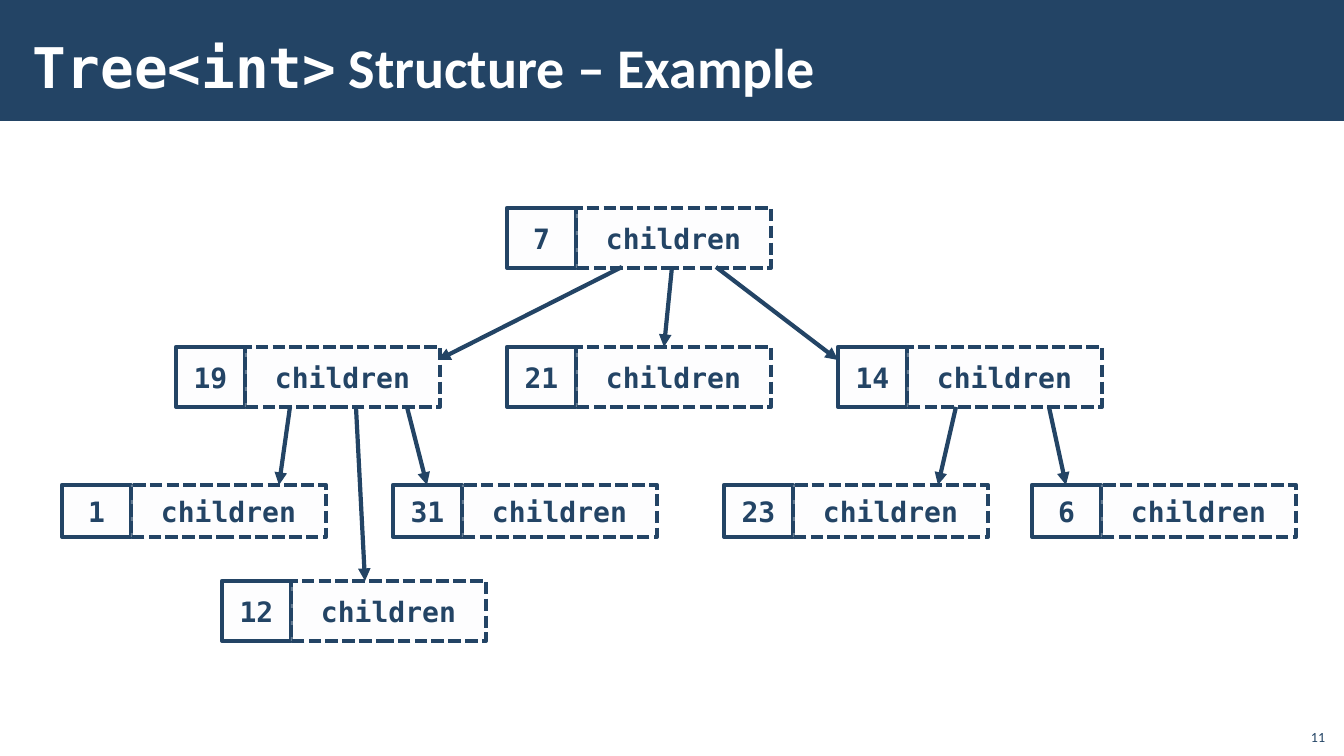
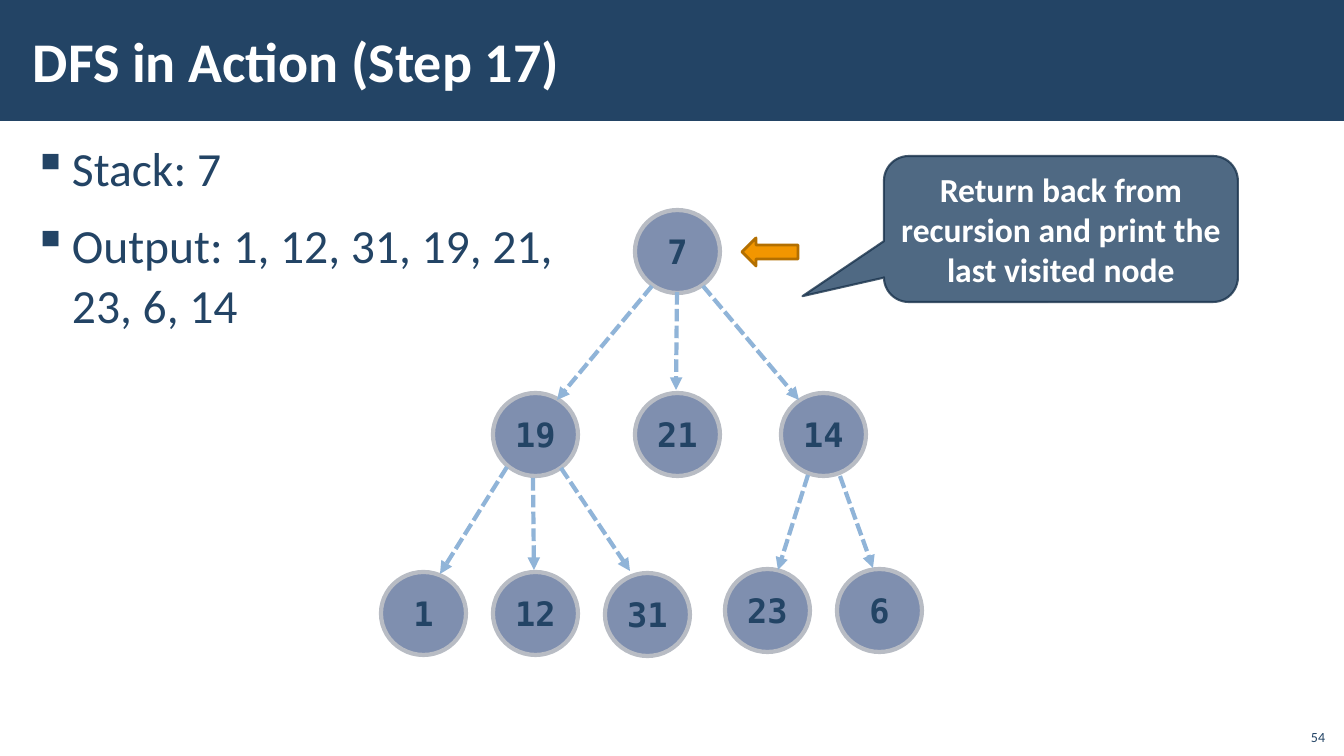
from lxml.etree import SubElement
from pptx import Presentation
from pptx.dml.color import RGBColor
from pptx.enum.dml import MSO_LINE
from pptx.enum.shapes import MSO_CONNECTOR, MSO_SHAPE
from pptx.enum.text import MSO_ANCHOR, MSO_AUTO_SIZE, PP_ALIGN
from pptx.oxml.ns import qn
from pptx.util import Emu, Pt

NAVY = RGBColor(0x23, 0x44, 0x65)
WHITE = RGBColor(0xFF, 0xFF, 0xFF)
PALE = RGBColor(0xFB, 0xFB, 0xFC)
DEEP_BLUE = RGBColor(0x00, 0x20, 0x60)
GREY = RGBColor(0xB8, 0xBC, 0xC4)
SKY = RGBColor(0x90, 0xB4, 0xD8)
ORANGE = RGBColor(0xF2, 0x96, 0x00)
BROWN = RGBColor(0xB3, 0x6F, 0x00)
INK = RGBColor(0x1A, 0x33, 0x4C)
SANS = "Calibri"
MONO = "DejaVu Sans Mono"
PX = 914400 / 100.8


def add_run(para, text, size, font, color, bold=False):
    span = para.add_run()
    span.text = text
    span.font.size = Pt(size)
    span.font.name = font
    span.font.color.rgb = color
    span.font.bold = bold


def add_shape(page, kind, frame, fill, alpha=100, line=None, width=3, dash=None):
    shape = page.shapes.add_shape(kind, *[Emu(round(n * PX)) for n in frame])
    shape.shadow.inherit = False
    shape.fill.solid()
    shape.fill.fore_color.rgb = fill
    if alpha < 100:
        for color in shape.element.spPr.iter(qn("a:srgbClr")):
            SubElement(color, qn("a:alpha")).set("val", str(alpha * 1000))
    if line is None:
        shape.line.fill.background()
    else:
        shape.line.color.rgb = line
        shape.line.width = Pt(width)
        shape.line.dash_style = dash
    shape.text_frame.vertical_anchor = MSO_ANCHOR.MIDDLE
    shape.text_frame.paragraphs[0].alignment = PP_ALIGN.CENTER
    return shape


deck = Presentation()
deck.slide_width = Emu(round(1344 * PX))
deck.slide_height = Emu(round(756 * PX))
layout = deck.slide_layouts[5]

# Titles and page numbers
headings = [
    ([("Tree<int>", MONO), (" Structure – Example", SANS)], (21, 5, 1055, 122), "11"),
    ([("DFS in Action (Step 17)", SANS)], (21, 11, 1072, 98), "54"),
]
for spans, frame, number in headings:
    page = deck.slides.add_slide(layout)
    title = page.shapes.title
    title.left, title.top, title.width, title.height = [Emu(round(n * PX)) for n in frame]
    text = title.text_frame
    text.auto_size = MSO_AUTO_SIZE.NONE
    text.vertical_anchor = MSO_ANCHOR.MIDDLE
    text.margin_left = text.margin_right = Emu(round(12 * PX))
    text.margin_top = text.margin_bottom = Emu(round(4 * PX))
    text.paragraphs[0].alignment = PP_ALIGN.LEFT
    for words, font in spans:
        add_run(text.paragraphs[0], words, 40, font, WHITE, True)

    box = page.shapes.add_textbox(*[Emu(round(n * PX)) for n in (1295, 718, 40, 32)])
    box.text_frame.word_wrap = True
    box.text_frame.vertical_anchor = MSO_ANCHOR.BOTTOM
    box.text_frame.paragraphs[0].alignment = PP_ALIGN.RIGHT
    add_run(box.text_frame.paragraphs[0], number, 10, SANS, NAVY)

tree_page, search_page = deck.slides

# Title band, moved to the shared layout behind its placeholders
band = add_shape(tree_page, MSO_SHAPE.RECTANGLE, (0, 0, 1344, 121), NAVY)
band.element.nvSpPr.cNvPr.set("id", "20")
layout.shapes.element.insert(2, band.element)

# Tree nodes: a value cell followed by a dashed children cell
KEY_WIDTH, CHILDREN_WIDTH = 69, 195
tree_rows = [
    (208, 60, [("7", 507)]),
    (347, 60, [("19", 176), ("21", 507), ("14", 838)]),
    (485, 52, [("1", 62), ("31", 393), ("23", 724), ("6", 1032)]),
    (581, 60, [("12", 222)]),
]
for top, height, nodes in tree_rows:
    for value, left in nodes:
        cells = [
            (value, left, KEY_WIDTH, MSO_LINE.SOLID),
            ("children", left + KEY_WIDTH, CHILDREN_WIDTH, MSO_LINE.SQUARE_DOT),
        ]
        for words, cell_left, width, dash in cells:
            cell = add_shape(tree_page, MSO_SHAPE.RECTANGLE, (cell_left, top, width, height),
                             PALE, 30, NAVY, 3, dash)
            cell.text_frame.word_wrap = False
            add_run(cell.text_frame.paragraphs[0], words, 20, MONO, NAVY, True)

# Stack and output list
box = search_page.shapes.add_textbox(*[Emu(round(n * PX)) for n in (21, 132, 1302, 610)])
text = box.text_frame
text.word_wrap = True
text.margin_left = text.margin_right = Emu(round(12 * PX))
text.margin_top = text.margin_bottom = Emu(round(4 * PX))
items = [["Stack: 7"], ["Output: 1, 12, 31, 19, 21,", "23, 6, 14"]]
for index, lines in enumerate(items):
    para = text.add_paragraph() if index else text.paragraphs[0]
    indent = round(39 * PX)
    properties = para._p.get_or_add_pPr()
    properties.set("marL", str(indent))
    properties.set("indent", str(-indent))
    SubElement(properties, qn("a:buChar")).set("char", "▪")
    para.line_spacing = 1.05
    para.space_before = Pt(6 if index else 0)
    para.space_after = Pt(6)
    for row, words in enumerate(lines):
        if row:
            para.add_line_break()
        add_run(para, words, 34, SANS, NAVY)

# Search tree circles
circles = [
    ("7", 635, 210),
    ("19", 493, 393), ("21", 635, 393), ("14", 781, 393),
    ("1", 381, 572), ("12", 493, 572), ("31", 605, 573),
    ("23", 725, 569), ("6", 837, 569),
]
for value, left, top in circles:
    circle = add_shape(search_page, MSO_SHAPE.OVAL, (left, top, 85, 83), DEEP_BLUE, 50, GREY)
    circle.text_frame.word_wrap = False
    add_run(circle.text_frame.paragraphs[0], value, 24, MONO, NAVY, True)

# Arrows from parent to child on both pages
tree_links = [
    (622, 267, 438, 360), (672, 267, 664, 347), (716, 267, 838, 360),
    (290, 407, 279, 485), (356, 407, 365, 581), (407, 407, 427, 485),
    (956, 407, 938, 485), (1049, 407, 1066, 485),
]
search_links = [
    (652, 286, 557, 400), (677, 292, 676, 390), (703, 286, 799, 400),
    (507, 467, 440, 574), (533, 478, 534, 570), (561, 468, 630, 571),
    (808, 475, 778, 570), (840, 476, 873, 568),
]
for page, links, color, dash in [
    (tree_page, tree_links, NAVY, MSO_LINE.SOLID),
    (search_page, search_links, SKY, MSO_LINE.SQUARE_DOT),
]:
    for ends in links:
        arrow = page.shapes.add_connector(
            MSO_CONNECTOR.STRAIGHT, *[Emu(round(n * PX)) for n in ends])
        arrow.line.color.rgb = color
        arrow.line.width = Pt(3)
        arrow.line.dash_style = dash
        properties = arrow.element.spPr
        SubElement(properties.find(qn("a:ln")), qn("a:tailEnd")).set("type", "triangle")
        SubElement(properties, qn("a:effectLst"))

# Pointer and callout for the current node
add_shape(search_page, MSO_SHAPE.LEFT_ARROW, (742, 238, 56, 28), ORANGE, 100, BROWN, 2)
callout = add_shape(search_page, MSO_SHAPE.ROUNDED_RECTANGULAR_CALLOUT,
                    (884, 156, 354, 146), NAVY, 80, INK, 1.5)
for color in callout.element.spPr.find(qn("a:ln")).iter(qn("a:srgbClr")):
    SubElement(color, qn("a:alpha")).set("val", "80000")
for index, value in enumerate((-0.73, 0.46, 0.17)):
    callout.adjustments[index] = value
callout.text_frame.word_wrap = True
add_run(callout.text_frame.paragraphs[0],
        "Return back from recursion and print the last visited node", 24, SANS, WHITE, True)

deck.save("out.pptx")
